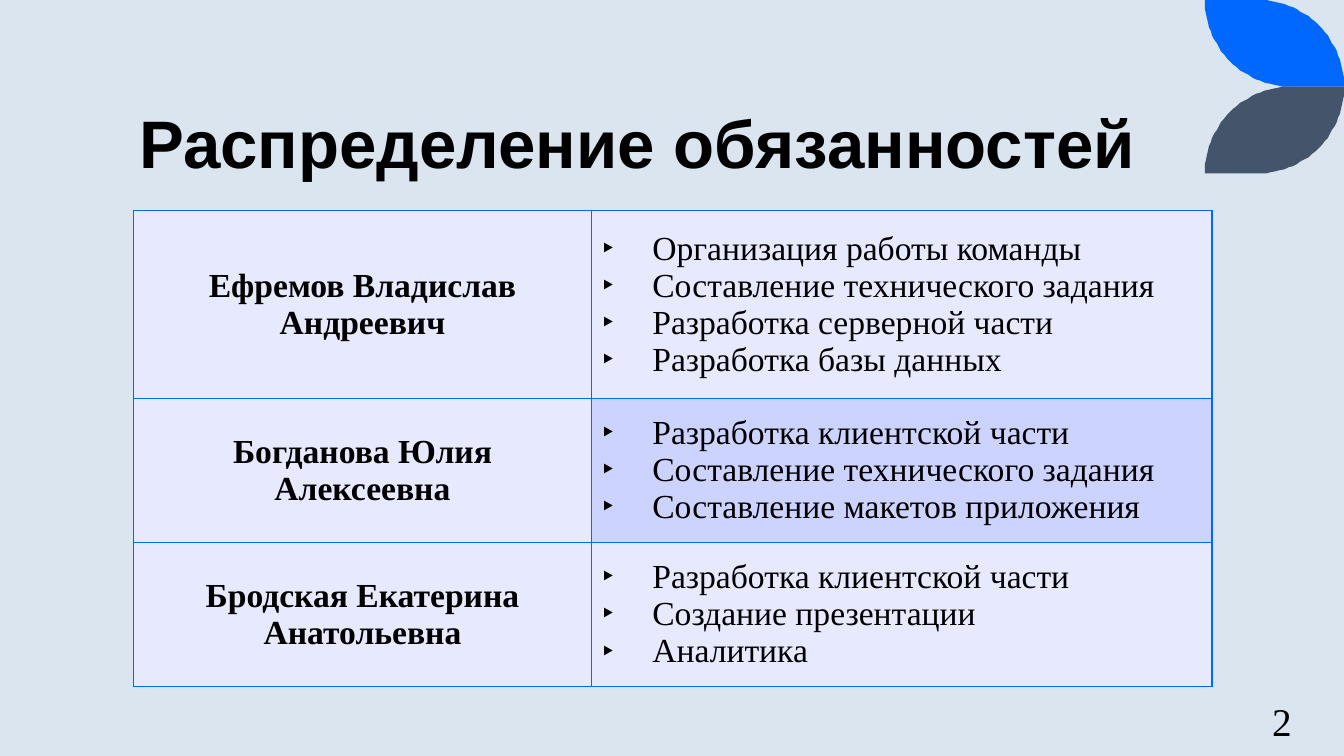
import math
from dataclasses import dataclass

from lxml import etree
from pptx import Presentation
from pptx import util as u
from pptx.dml.color import RGBColor
from pptx.enum import text
from pptx.oxml import ns

PX = 9144  # 100 px to the inch


@dataclass(frozen=True)
class Theme:
    background: str = "DAE5EF"
    blue: str = "0068FF"
    slate: str = "44546A"
    ink: str = "000000"
    pale: str = "E7EAFF"
    band: str = "CCD3FF"
    heading_font: str = "Arial"
    body_font: str = "Times New Roman"
    title_size: int = 48
    table_size: int = 24
    number_size: int = 28
    border_width: float = 0.96


THEME = Theme()
TITLE = "Распределение обязанностей"
DUTIES = [
    ("Ефремов Владислав Андреевич", 186, THEME.pale, [
        "Организация работы команды",
        "Составление технического задания",
        "Разработка серверной части",
        "Разработка базы данных",
    ]),
    ("Богданова Юлия Алексеевна", 143, THEME.band, [
        "Разработка клиентской части",
        "Составление технического задания",
        "Составление макетов приложения",
    ]),
    ("Бродская Екатерина Анатольевна", 143, THEME.pale, [
        "Разработка клиентской части",
        "Создание презентации",
        "Аналитика",
    ]),
]
COLUMN_WIDTHS = (455, 615)


def px(*lengths):
    return [u.Emu(length * PX) for length in lengths]


def apply(target, **values):
    for name, value in values.items():
        setattr(target, name, value)


def paint(fill, color):
    fill.solid()
    fill.fore_color.rgb = RGBColor.from_string(color)


def write(para, words, font, size, bold=False, align=text.PP_ALIGN.LEFT):
    para.alignment = align
    span = para.add_run()
    span.text = words
    apply(span.font, name=font, size=u.Pt(size), bold=bold)
    span.font.color.rgb = RGBColor.from_string(THEME.ink)


def add_bullet(para):
    props = para._p.get_or_add_pPr()
    apply_indent = {"marL": 50 * PX, "indent": -50 * PX}
    for name, value in apply_indent.items():
        props.set(name, str(value))
    color = etree.SubElement(props, ns.qn("a:buClr"))
    etree.SubElement(color, ns.qn("a:srgbClr"), val=THEME.ink)
    etree.SubElement(props, ns.qn("a:buFont"), typeface=THEME.heading_font)
    etree.SubElement(props, ns.qn("a:buChar"), char="‣")


def add_borders(cell):
    """Draw all four sides; borders must come before the cell's fill."""
    props = cell._tc.get_or_add_tcPr()
    for side in ("a:lnL", "a:lnR", "a:lnT", "a:lnB"):
        line = etree.SubElement(props, ns.qn(side), w=str(u.Pt(THEME.border_width)))
        fill = etree.SubElement(line, ns.qn("a:solidFill"))
        etree.SubElement(fill, ns.qn("a:srgbClr"), val=THEME.blue)


def arc(center_x, center_y, radius, start):
    """Points of a quarter circle that begins at the angle start."""
    angles = [math.radians(start + step) for step in range(0, 91, 3)]
    return [(center_x + radius * math.cos(a), center_y + radius * math.sin(a))
            for a in angles]


def add_leaf(page, color, mirrored=False):
    """Add a corner leaf; the mirrored one hangs below the first."""
    outline = [(1195, 0)] + arc(1247, 86, 86, -90) + arc(1281, 0, 86, 90)
    if mirrored:
        outline = [(x, 172 - y) for x, y in outline]
    builder = page.shapes.build_freeform(*outline[0], scale=PX / 100 * 100)
    builder.add_line_segments(outline[1:])
    leaf = builder.convert_to_shape()
    leaf.shadow.inherit = False
    paint(leaf.fill, color)
    leaf.line.fill.background()


def add_title(page):
    title = page.shapes.title
    left, top, width, height = px(128, 42, 1069, 145)
    apply(title, left=left, top=top, width=width, height=height)
    apply(title.text_frame, vertical_anchor=text.MSO_ANCHOR.BOTTOM, word_wrap=True,
          auto_size=text.MSO_AUTO_SIZE.NONE)
    para = title.text_frame.paragraphs[0]
    para.line_spacing = 0.9
    write(para, TITLE, THEME.heading_font, THEME.title_size, bold=True)


def fill_cell(cell, color, lines, bulleted):
    add_borders(cell)
    paint(cell.fill, color)
    cell.vertical_anchor = text.MSO_ANCHOR.MIDDLE
    frame = cell.text_frame
    for index, words in enumerate(lines):
        para = frame.add_paragraph() if index else frame.paragraphs[0]
        align = text.PP_ALIGN.LEFT if bulleted else text.PP_ALIGN.CENTER
        write(para, words, THEME.body_font, THEME.table_size, not bulleted, align)
        if bulleted:
            add_bullet(para)


def add_duties_table(page):
    height = sum(row[1] for row in DUTIES)
    frame = page.shapes.add_table(len(DUTIES), len(COLUMN_WIDTHS),
                                  *px(132, 209, sum(COLUMN_WIDTHS), height))
    table = frame.table
    apply(table, first_row=False, horz_banding=False)
    for column, width in zip(table.columns, COLUMN_WIDTHS):
        column.width = u.Emu(width * PX)
    for row, (person, height, color, duties) in zip(table.rows, DUTIES):
        row.height = u.Emu(height * PX)
        fill_cell(row.cells[0], THEME.pale, [person], bulleted=False)
        fill_cell(row.cells[1], color, duties, bulleted=True)


def add_page_number(page):
    box = page.shapes.add_textbox(*px(1110, 695, 181, 40))
    apply(box.text_frame, word_wrap=True, vertical_anchor=text.MSO_ANCHOR.MIDDLE)
    write(box.text_frame.paragraphs[0], "2", THEME.body_font, THEME.number_size,
          align=text.PP_ALIGN.RIGHT)


def main():
    deck = Presentation()
    deck.slide_width, deck.slide_height = px(1333, 750)
    page = deck.slides.add_slide(deck.slide_layouts.get_by_name("Title Only"))
    paint(page.background.fill, THEME.background)
    add_leaf(page, THEME.blue)
    add_leaf(page, THEME.slate, mirrored=True)
    add_title(page)
    add_duties_table(page)
    add_page_number(page)
    deck.save("out.pptx")


if __name__ == "__main__":
    main()
